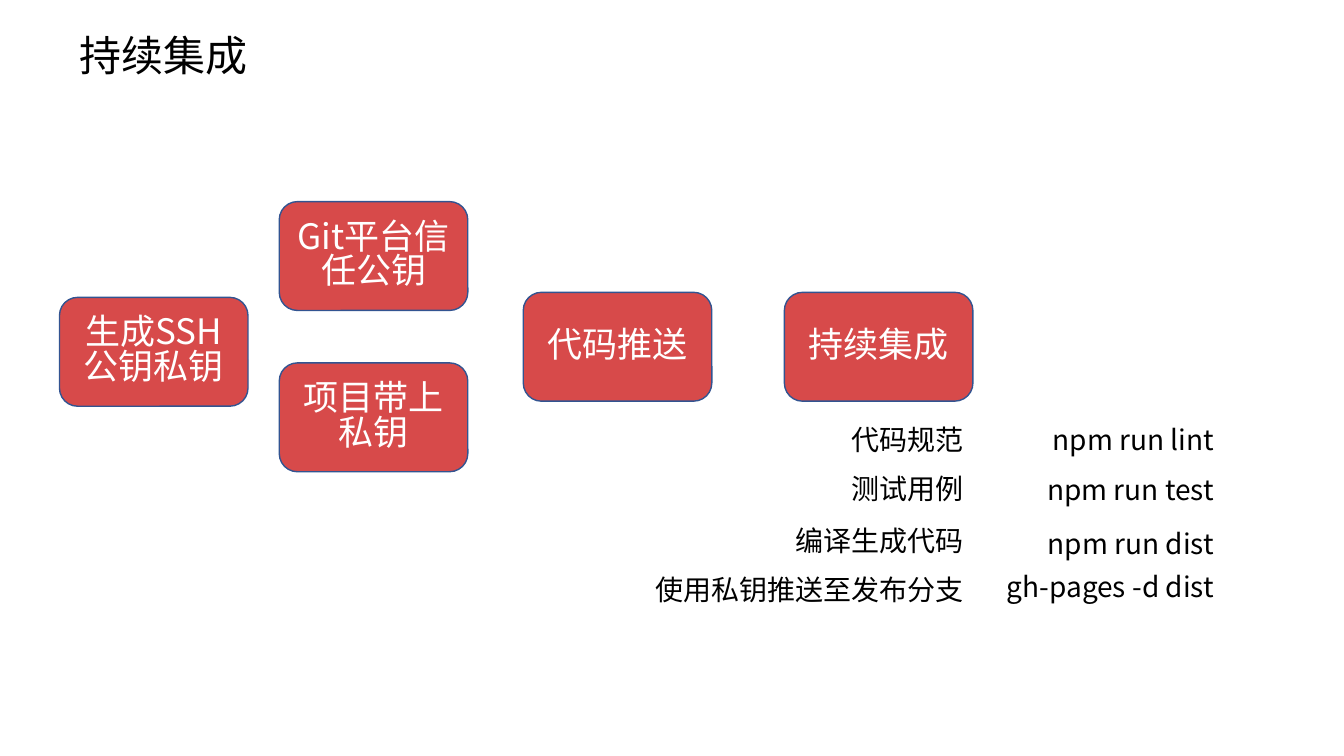
from lxml.etree import SubElement
from pptx import Presentation
from pptx.dml.color import RGBColor
from pptx.enum.shapes import MSO_SHAPE
from pptx.enum.text import MSO_ANCHOR, PP_ALIGN
from pptx.oxml.ns import qn
from pptx.util import Inches, Pt

# Content
TITLE = "持续集成"
STAGES = [  # label, left, top
    ("生成SSH公钥私钥", 0.59, 2.95),
    ("Git平台信任公钥", 2.77, 2.0),
    ("项目带上私钥", 2.77, 3.6),
    ("代码推送", 5.19, 2.9),
    ("持续集成", 7.78, 2.9),
]
STEPS = [  # task, task top, command, command top
    ("代码规范", 4.2, "npm run lint", 4.2),
    ("测试用例", 4.69, "npm run test", 4.7),
    ("编译生成代码", 5.2, "npm run dist", 5.23),
    ("使用私钥推送至发布分支", 5.69, "gh-pages -d dist", 5.66),
]

# Look
FONT = "Noto Sans CJK SC"
COLORS = {"red": "D74A4A", "edge": "325491", "white": "FFFFFF", "black": "000000"}
STYLES = {
    "title": {"size": 30, "color": "black", "align": PP_ALIGN.LEFT, "anchor": MSO_ANCHOR.MIDDLE},
    "stage": {"size": 25, "color": "white", "align": PP_ALIGN.CENTER, "anchor": MSO_ANCHOR.MIDDLE},
    "step": {"size": 20, "color": "black", "align": PP_ALIGN.RIGHT, "anchor": MSO_ANCHOR.TOP},
}
LINE_SPACING = 0.83
STAGE_SIZE = (1.87, 1.08)
STEP_HEIGHT = 0.44
TASK_LEFT, TASK_WIDTH = 6.13, 3.53
COMMAND_LEFT, COMMAND_WIDTH = TASK_LEFT + TASK_WIDTH, 2.48


def color(name):
    return RGBColor.from_string(COLORS[name])


def write(shape, text, style_name):
    style = STYLES[style_name]
    frame = shape.text_frame
    frame.word_wrap = True
    frame.vertical_anchor = style["anchor"]
    para = frame.paragraphs[0]
    para.alignment = style["align"]
    para.line_spacing = LINE_SPACING
    span = para.add_run()
    span.text = text
    for name, value in {"name": FONT, "size": Pt(style["size"])}.items():
        setattr(span.font, name, value)
    span.font.color.rgb = color(style["color"])
    SubElement(span.font._element, qn("a:ea"), typeface=FONT)


def add_step_text(page, text, left, top, width):
    box = page.shapes.add_textbox(*map(Inches, (left, top, width, STEP_HEIGHT)))
    write(box, text, "step")


def main():
    deck = Presentation()
    deck.slide_width, deck.slide_height = Inches(13.33), Inches(7.5)
    page = deck.slides.add_slide(deck.slide_layouts[5])

    # Title
    title = page.shapes.title
    place = {"left": 0.69, "top": 0.3, "width": 8.62, "height": 0.58}
    for name, value in place.items():
        setattr(title, name, Inches(value))
    write(title, TITLE, "title")

    # Stages of the flow
    for label, left, top in STAGES:
        stage = page.shapes.add_shape(
            MSO_SHAPE.ROUNDED_RECTANGLE, *map(Inches, (left, top, *STAGE_SIZE)))
        stage.shadow.inherit = False
        stage.fill.solid()
        stage.fill.fore_color.rgb = color("red")
        stage.line.color.rgb = color("edge")
        stage.line.width = Pt(1)
        write(stage, label, "stage")

    # Tasks and their commands
    for task, task_top, command, command_top in STEPS:
        add_step_text(page, task, TASK_LEFT, task_top, TASK_WIDTH)
        add_step_text(page, command, COMMAND_LEFT, command_top, COMMAND_WIDTH)

    deck.save("out.pptx")


if __name__ == "__main__":
    main()
